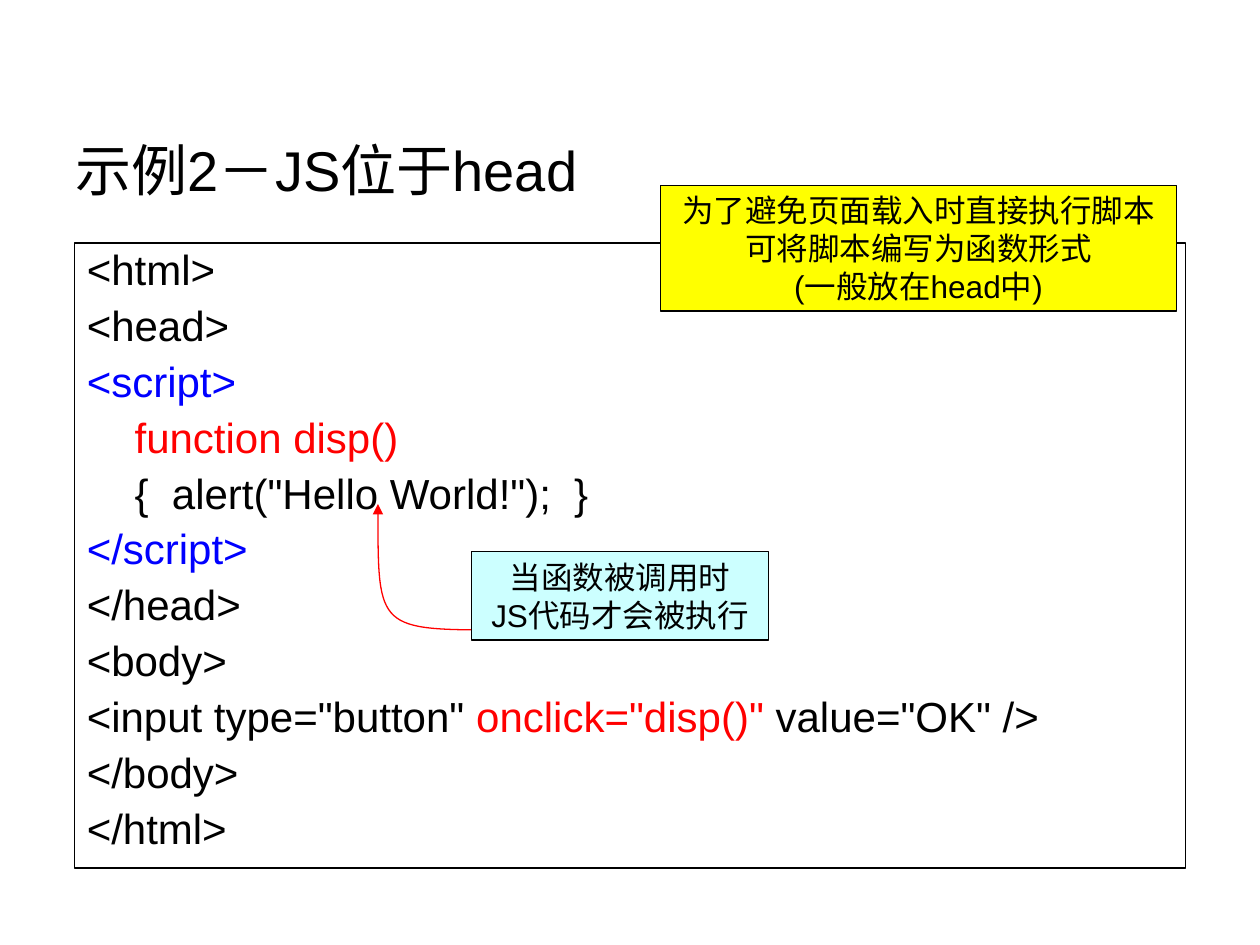
import pptx
import pptx.util
import pptx.dml.color
import pptx.enum.shapes
import pptx.enum.text
import pptx.oxml
import pptx.oxml.ns
from pptx.util import Inches

# Content
BLACK, RED, BLUE, YELLOW, CYAN = "000000", "FF0000", "0000FF", "FFFF00", "CCFFFF"
TITLE = "示例2－JS位于head"
CODE = [
    [("<html>", BLACK)],
    [("<head>", BLACK)],
    [("<script>", BLUE)],
    [("\tfunction disp()", RED)],
    [('\t{  alert("Hello World!");  }', BLACK)],
    [("</script>", BLUE)],
    [("</head>", BLACK)],
    [("<body>", BLACK)],
    [('<input type="button" ', BLACK), ('onclick="disp()"', RED), (' value="OK" />', BLACK)],
    [("</body>", BLACK)],
    [("</html>", BLACK)],
]
NOTES = [
    ((5.24, 1.47, 4.1, 1), YELLOW,
     ["为了避免页面载入时直接执行脚本", "可将脚本编写为函数形式", "(一般放在head中)"]),
    ((3.74, 4.38, 2.36, 0.7), CYAN, ["当函数被调用时", "JS代码才会被执行"]),
]
# Start point, then two control points and an end point for each curve
CALL_ARROW = [(3.98, 5.4), (3.84, 5.35), (3.7, 5.3), (3.58, 5.09),
              (3.47, 4.88), (3.37, 4.51), (3.27, 4.14)]

ALIGN = pptx.enum.text.PP_ALIGN
ANCHOR = pptx.enum.text.MSO_ANCHOR
RECTANGLE = pptx.enum.shapes.MSO_SHAPE.RECTANGLE
CODE_FORMAT = {"alignment": ALIGN.LEFT, "line_spacing": 0.9, "space_before": pptx.util.Pt(6)}


def colour(value):
    return pptx.dml.color.RGBColor.from_string(value)


def set_all(target, values):
    for name, value in values.items():
        setattr(target, name, value)


def write(frame, lines, size, para_format):
    for index, line in enumerate(lines):
        para = frame.paragraphs[0] if index == 0 else frame.add_paragraph()
        set_all(para, para_format)
        for text, ink in line:
            span = para.add_run()
            span.text = text
            set_all(span.font, {"name": "Arial", "size": pptx.util.Pt(size)})
            span.font.color.rgb = colour(ink)


def outline(shape, ink):
    shape.shadow.inherit = False
    shape.line.color.rgb = colour(ink)
    shape.line.width = pptx.util.Pt(0.75)


def add_box(page, place, anchor, fill=None):
    box = page.shapes.add_shape(RECTANGLE, *map(Inches, place))
    outline(box, BLACK)
    if fill:
        box.fill.solid()
        box.fill.fore_color.rgb = colour(fill)
    else:
        box.fill.background()
    set_all(box.text_frame, {"word_wrap": True, "vertical_anchor": anchor})
    return box


def add_curved_arrow(page, points, ink):
    builder = page.shapes.build_freeform(*points[0], scale=Inches(1))
    builder.add_line_segments(points[1:], close=False)
    arrow = builder.convert_to_shape()
    arrow.fill.background()
    outline(arrow, ink)
    # Each three straight steps become one cubic curve
    steps = arrow._element.findall(".//" + pptx.oxml.ns.qn("a:lnTo"))
    for start in range(0, len(steps), 3):
        curve = pptx.oxml.parse_xml(f'<a:cubicBezTo {pptx.oxml.ns.nsdecls("a")}/>')
        steps[start].addprevious(curve)
        for step in steps[start:start + 3]:
            curve.append(step[0])
            step.getparent().remove(step)
    head = pptx.oxml.parse_xml(f'<a:tailEnd {pptx.oxml.ns.nsdecls("a")} type="triangle"/>')
    arrow.line._get_or_add_ln().append(head)


def main():
    deck = pptx.Presentation()
    set_all(deck, {"slide_width": Inches(10), "slide_height": Inches(7.5)})
    page = deck.slides.add_slide(deck.slide_layouts[5])

    # Title
    title = page.shapes.title
    set_all(title, dict(zip(("left", "top", "width", "height"),
                            map(Inches, (0.5, 0.99, 9, 0.71)))))
    title.text_frame.vertical_anchor = ANCHOR.MIDDLE
    write(title.text_frame, [[(TITLE, BLACK)]], 32, {"alignment": ALIGN.LEFT})

    # Code listing, with a hanging indent that the tabs stop at
    listing = add_box(page, (0.59, 1.93, 8.82, 4.96), ANCHOR.TOP)
    write(listing.text_frame, CODE, 24, CODE_FORMAT)
    for para in listing.text_frame.paragraphs:
        properties = para._p.get_or_add_pPr()
        properties.set("marL", str(Inches(0.38)))
        properties.set("indent", str(-Inches(0.38)))

    # Arrow from the click handler to the function
    add_curved_arrow(page, CALL_ARROW, RED)

    # Notes
    for place, fill, lines in NOTES:
        note = add_box(page, place, ANCHOR.MIDDLE, fill)
        write(note.text_frame, [[(line, BLACK)] for line in lines], 18,
              {"alignment": ALIGN.CENTER})

    deck.save("out.pptx")


if __name__ == "__main__":
    main()
